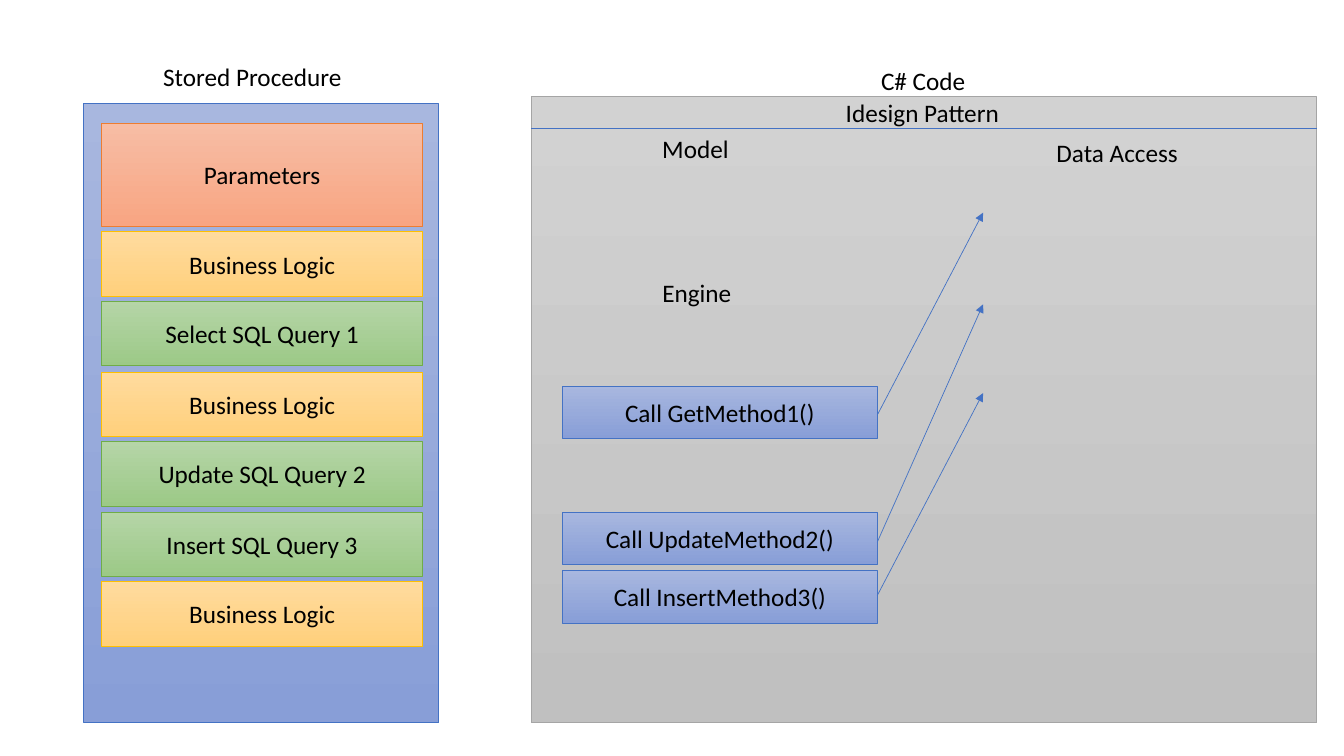
import pptx
import pptx.dml.color
import pptx.enum.shapes
import pptx.enum.text
import pptx.oxml
import pptx.oxml.ns
import pptx.util

EMU_PER_PX = 9144
FONT = "Calibri"
COLOURS = {
    "text": "000000",
    "grey": ("D2D2D2", "C0C0C0", "A5A5A5"),
    "blue": ("A8B7DF", "889ED7", "4472C4"),
    "orange": ("F7BDA5", "F8A582", "ED7D31"),
    "gold": ("FFDB9E", "FFD07C", "FFC000"),
    "green": ("B5D5A7", "9CC987", "70AD47"),
}


def px(*lengths):
    return [pptx.util.Emu(length * EMU_PER_PX) for length in lengths]


def rgb(value):
    return pptx.dml.color.RGBColor.from_string(value)


class Diagram:
    """Draws boxes, labels and lines on one slide in a shared style."""

    def __init__(self, slide):
        self.slide = slide

    def set_text(self, frame, text):
        frame.text = text
        font = frame.paragraphs[0].runs[0].font
        font.name = FONT
        font.size = pptx.util.Pt(18)
        font.color.rgb = rgb(COLOURS["text"])

    def outline(self, line, colour):
        line.color.rgb = rgb(colour)
        line.width = pptx.util.Pt(0.5)

    def box(self, left, top, width, height, colour, text=""):
        top_colour, bottom_colour, edge = COLOURS[colour]
        box = self.slide.shapes.add_shape(
            pptx.enum.shapes.MSO_SHAPE.RECTANGLE, *px(left, top, width, height))
        box.shadow.inherit = False
        box.fill.gradient()
        box.fill.gradient_angle = 270
        for stop, shade in zip(box.fill.gradient_stops, (top_colour, bottom_colour)):
            stop.color.rgb = rgb(shade)
        self.outline(box.line, edge)
        if text:
            self.set_text(box.text_frame, text)
            box.text_frame.vertical_anchor = pptx.enum.text.MSO_ANCHOR.MIDDLE
            box.text_frame.paragraphs[0].alignment = pptx.enum.text.PP_ALIGN.CENTER

    def label(self, left, top, width, text):
        frame = self.slide.shapes.add_textbox(*px(left, top, width, 40)).text_frame
        frame.word_wrap = False
        frame.auto_size = pptx.enum.text.MSO_AUTO_SIZE.SHAPE_TO_FIT_TEXT
        self.set_text(frame, text)

    def line(self, x1, y1, x2, y2, arrow=False):
        connector = self.slide.shapes.add_connector(
            pptx.enum.shapes.MSO_CONNECTOR.STRAIGHT, *px(x1, y1, x2, y2))
        self.outline(connector.line, COLOURS["blue"][2])
        properties = connector._element.spPr
        if arrow:
            tail = pptx.oxml.parse_xml(
                f'<a:tailEnd {pptx.oxml.ns.nsdecls("a")} type="triangle"/>')
            properties.find(pptx.oxml.ns.qn("a:ln")).append(tail)
        properties.append(pptx.oxml.parse_xml(
            f'<a:effectLst {pptx.oxml.ns.nsdecls("a")}/>'))


def main():
    deck = pptx.Presentation()
    deck.slide_width, deck.slide_height = px(1333, 750)
    diagram = Diagram(deck.slides.add_slide(deck.slide_layouts[6]))

    diagram.box(527, 96, 779, 621, "grey")
    diagram.box(83, 103, 352, 614, "blue")

    diagram.box(101, 122, 318, 103, "orange", "Parameters")
    procedure_steps = [
        ("Business Logic", "gold"),
        ("Select SQL Query 1", "green"),
        ("Business Logic", "gold"),
        ("Update SQL Query 2", "green"),
        ("Insert SQL Query 3", "green"),
        ("Business Logic", "gold"),
    ]
    for index, (step, colour) in enumerate(procedure_steps):
        diagram.box(101, 230 + round(index * 69.4), 318, 64, colour, step)

    for left, top, width, heading in [
        (152, 56, 199, "Stored Procedure"),
        (864, 60, 105, "C# Code"),
        (829, 92, 174, "Idesign Pattern"),
        (647, 127, 87, "Model"),
        (647, 270, 89, "Engine"),
        (1038, 131, 142, "Data Access"),
    ]:
        diagram.label(left, top, width, heading)

    diagram.line(527, 127, 1306, 127)
    for call, top, start, end in [
        ("Call GetMethod1()", 383, 412, 211),
        ("Call UpdateMethod2()", 508, 538, 302),
        ("Call InsertMethod3()", 566, 591, 390),
    ]:
        diagram.box(558, top, 312, 52, "blue", call)
        diagram.line(870, start, 975, end, arrow=True)

    deck.save("out.pptx")


if __name__ == "__main__":
    main()
